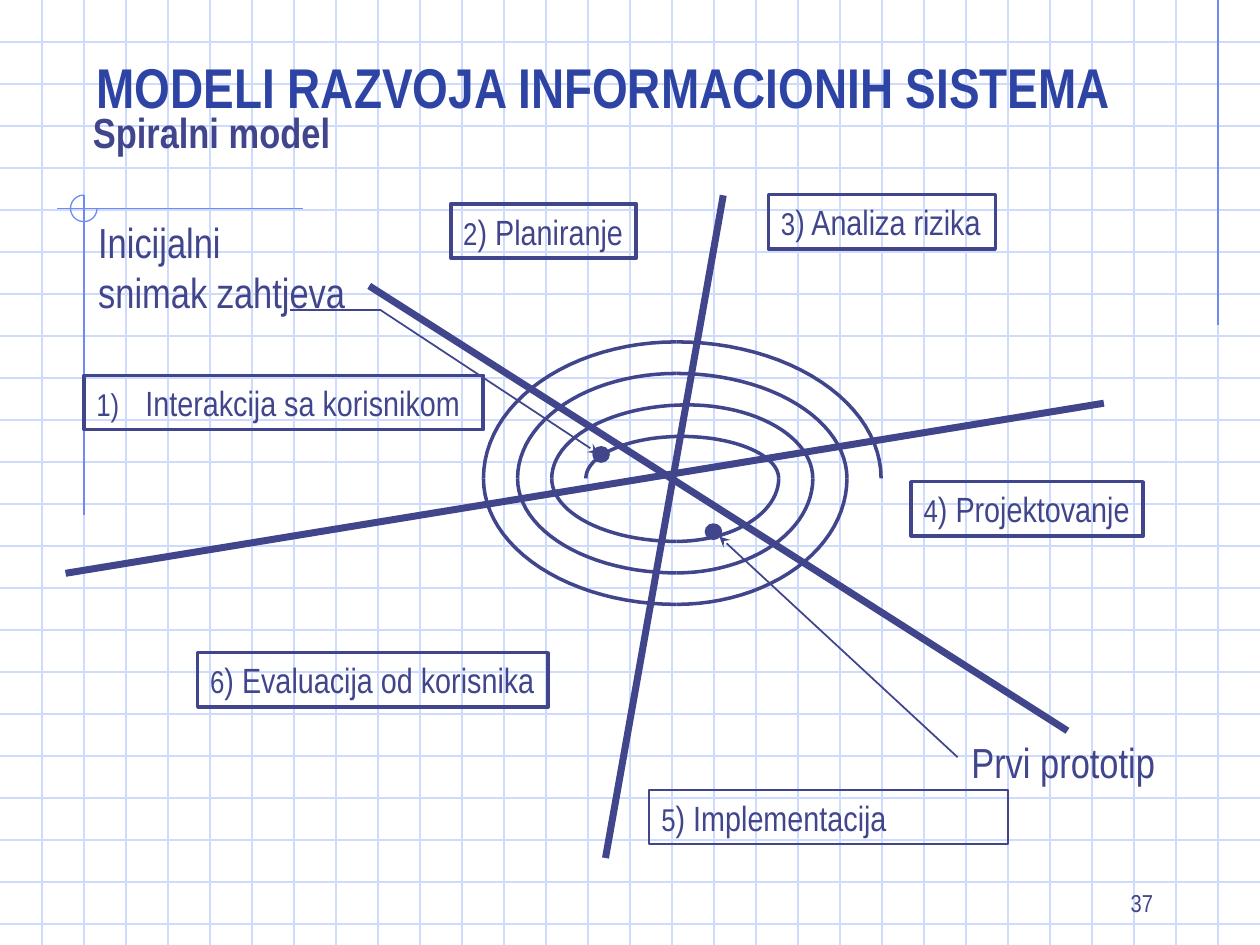
from math import cos, pi, sin

from lxml.etree import SubElement
from pptx import Presentation
from pptx.dml.color import RGBColor
from pptx.enum.shapes import MSO_CONNECTOR, MSO_SHAPE
from pptx.enum.text import MSO_ANCHOR, MSO_AUTO_SIZE, PP_ALIGN
from pptx.oxml.ns import qn
from pptx.util import Pt

COLORS = {"ink": "40458C", "title": "2D44A4", "grid": "CFDBFD", "accent": "6F89F7"}
WIDTH, HEIGHT, GRID_STEP = 720, 540, 24
TITLE_LAYOUT = 5


class SpiralSlide:
    font_name = "Arial Narrow"

    def __init__(self, presentation):
        self.slide = presentation.slides.add_slide(presentation.slide_layouts[TITLE_LAYOUT])
        self.shapes = self.slide.shapes

    def color(self, name):
        return RGBColor.from_string(COLORS[name])

    def set_outline(self, shape, color, weight):
        shape.line.color.rgb = self.color(color)
        shape.line.width = Pt(weight)

    def line(self, start, end, color="ink", weight=1, arrow=False):
        connector = self.shapes.add_connector(
            MSO_CONNECTOR.STRAIGHT, *(Pt(value) for value in (*start, *end)))
        self.set_outline(connector, color, weight)
        properties = connector.element.spPr
        if arrow:
            SubElement(properties.find(qn("a:ln")), qn("a:tailEnd"), type="stealth")
        SubElement(properties, qn("a:effectLst"))

    def preset(self, kind, box, color="ink", weight=1, fill=None):
        shape = self.shapes.add_shape(kind, *(Pt(value) for value in box))
        shape.shadow.inherit = False
        if fill:
            shape.fill.solid()
            shape.fill.fore_color.rgb = self.color(fill)
        else:
            shape.fill.background()
        self.set_outline(shape, color, weight)
        return shape

    def quarter(self, center, radii, start_angle, segments=24):
        angles = [start_angle + pi / 2 * step / segments for step in range(segments + 1)]
        points = [(Pt(center[0] + radii[0] * cos(angle)), Pt(center[1] + radii[1] * sin(angle)))
                  for angle in angles]
        builder = self.shapes.build_freeform(*points[0])
        builder.add_line_segments(points[1:], close=False)
        shape = builder.convert_to_shape()
        shape.shadow.inherit = False
        shape.fill.background()
        self.set_outline(shape, "ink", 2)

    def fill_text(self, shape, paragraphs, wrap=True, anchor=MSO_ANCHOR.TOP,
                  align=PP_ALIGN.LEFT, color="ink", bold=False, auto_size=MSO_AUTO_SIZE.NONE):
        frame = shape.text_frame
        frame_format = {
            "word_wrap": wrap, "auto_size": auto_size, "vertical_anchor": anchor,
            "margin_left": Pt(7.2), "margin_right": Pt(7.2),
            "margin_top": Pt(3.6), "margin_bottom": Pt(3.6),
        }
        for name, value in frame_format.items():
            setattr(frame, name, value)
        for index, runs in enumerate(paragraphs):
            paragraph = frame.add_paragraph() if index else frame.paragraphs[0]
            paragraph.alignment = align
            for text, size in runs:
                run = paragraph.add_run()
                run.text = text
                font_format = {"name": self.font_name, "size": Pt(size), "bold": bold}
                for name, value in font_format.items():
                    setattr(run.font, name, value)
                run.font.color.rgb = self.color(color)
        return frame

    def title(self, text, box):
        shape = self.shapes.title
        for name, value in zip(("left", "top", "width", "height"), box):
            setattr(shape, name, Pt(value))
        shape.element.getparent().append(shape.element)
        self.fill_text(shape, [[(text, 32)]], anchor=MSO_ANCHOR.BOTTOM, color="title", bold=True)

    def text(self, lines, box, size=24, **text_format):
        shape = self.shapes.add_textbox(*(Pt(value) for value in box))
        self.fill_text(shape, [[(line, size)] for line in lines], **text_format)

    def phase(self, number, text, box, weight=2, wrap=False):
        shape = self.preset(MSO_SHAPE.RECTANGLE, box, weight=weight)
        self.fill_text(shape, [[(number, 18), (f") {text}", 20)]], wrap=wrap,
                       auto_size=MSO_AUTO_SIZE.SHAPE_TO_FIT_TEXT)

    def numbered_phase(self, text, box):
        shape = self.preset(MSO_SHAPE.RECTANGLE, box, weight=2)
        frame = self.fill_text(shape, [[(text, 20)]], auto_size=MSO_AUTO_SIZE.SHAPE_TO_FIT_TEXT)
        properties = frame.paragraphs[0]._p.get_or_add_pPr()
        properties.set("marL", str(Pt(28)))
        properties.set("indent", str(Pt(-28)))
        bullet_color = SubElement(properties, qn("a:buClr"))
        SubElement(bullet_color, qn("a:srgbClr"), val=COLORS["ink"])
        SubElement(properties, qn("a:buSzPct"), val="90000")
        SubElement(properties, qn("a:buFont"), typeface=self.font_name)
        SubElement(properties, qn("a:buAutoNum"), type="arabicParenR")

    def background(self):
        for y in range(GRID_STEP, HEIGHT, GRID_STEP):
            self.line((0, y), (WIDTH, y), "grid", 0.75)
        for x in range(GRID_STEP, WIDTH, GRID_STEP):
            self.line((x, 0), (x, HEIGHT), "grid", 0.75)
        for start, end in (((696, 0), (696, 186)), ((173, 119.3), (32.5, 119.3)),
                           ((48, 111.5), (48, 294.5))):
            self.line(start, end, "accent", 0.75)
        ring = self.preset(MSO_SHAPE.ARC, (40.3, 111.5, 15.2, 15.2), "accent", 0.75)
        ring.adjustments[0], ring.adjustments[1] = 0, 162

    def spiral(self):
        axis_y, low_apex, growth, rise = 273.4, 386.5, 19.5, 18
        for turn, apex in enumerate((389.5, 393, 386.5, 386.5)):
            left, right = 334.8 - growth * turn, 445 + growth * turn
            height = 24 + rise * turn
            self.quarter((apex, axis_y), (apex - left, height), pi)
            self.quarter((apex, axis_y), (right - apex, height), -pi / 2)
            if turn < 3:
                depth = 36 + rise * turn
                self.quarter((low_apex, axis_y), (right - low_apex, depth), 0)
                self.quarter((low_apex, axis_y), (low_apex - left + growth, depth), pi / 2)


def main():
    presentation = Presentation()
    presentation.slide_width, presentation.slide_height = Pt(WIDTH), Pt(HEIGHT)
    page = SpiralSlide(presentation)

    page.background()
    page.title("MODELI RAZVOJA INFORMACIONIH SISTEMA", (48, 24, 612, 48))
    page.text(["37"], (516, 492, 150, 36), size=14,
              anchor=MSO_ANCHOR.BOTTOM, align=PP_ALIGN.RIGHT)
    page.text(["Spiralni model"], (46, 57.6, 648, 93.6), bold=True)

    page.line((37.5, 327.6), (630.8, 230.4), weight=4)
    page.spiral()

    for number, text, box in (
        ("2", "Planiranje", (257.6, 116.5, 106, 31)),
        ("3", "Analiza rizika", (439.2, 111.3, 129.6, 31)),
        ("4", "Projektovanje", (520.7, 275.3, 132.6, 31)),
        ("6", "Evaluacija od korisnika", (113, 373, 200.3, 31)),
    ):
        page.phase(number, text, box)

    page.line((217.5, 177.2), (342, 259.2), arrow=True)
    page.line((217.5, 177.2), (165.6, 177.2))
    page.text(["Inicijalni", "snimak zahtjeva"], (49, 120.2, 155.5, 64.8), wrap=False)
    page.line((547.2, 432.7), (411.1, 306.7), arrow=True)
    page.text(["Prvi prototip"], (548, 417.6, 119.5, 36), wrap=False)

    page.line((413.3, 111.6), (346, 490.3), weight=4)
    page.line((211, 163.4), (610, 417.6), weight=4)
    page.numbered_phase("Interakcija sa korisnikom", (48, 214.5, 228.2, 31))
    for left, top in ((339, 255.4), (403.2, 299.5)):
        page.preset(MSO_SHAPE.OVAL, (left, top, 9, 8.6), fill="ink")
    page.phase("5", "Implementacija", (370.8, 451.4, 205.2, 31), weight=1, wrap=True)

    presentation.save("out.pptx")


if __name__ == "__main__":
    main()
